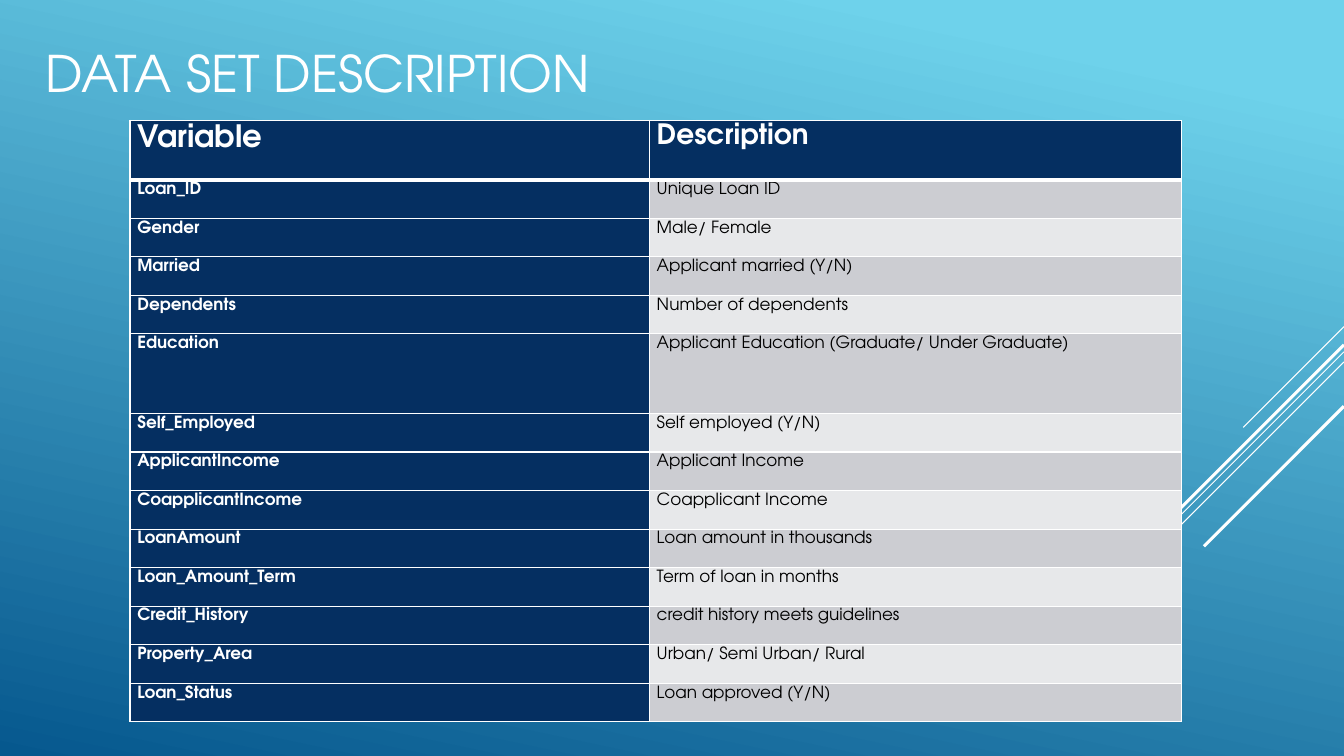
from lxml import etree
from pptx import Presentation
from pptx.dml.color import RGBColor
from pptx.enum import shapes, text
from pptx.oxml import ns
from pptx.util import Pt

FONT = "TeX Gyre Adventor"
COLORS = {
    "sky": "6ED2EB", "sea": "06588E", "navy": "052F61",
    "odd": "CCCDD2", "even": "E7E8EA", "white": "FFFFFF", "black": "000000",
}
HEAD = ("Variable", "Description")
ROWS = [
    ("Loan_ID", "Unique Loan ID"),
    ("Gender", "Male/ Female"),
    ("Married", "Applicant married (Y/N)"),
    ("Dependents", "Number of dependents"),
    ("Education", "Applicant Education (Graduate/ Under Graduate)"),
    ("Self_Employed", "Self employed (Y/N)"),
    ("ApplicantIncome", "Applicant Income"),
    ("CoapplicantIncome", "Coapplicant Income"),
    ("LoanAmount", "Loan amount in thousands"),
    ("Loan_Amount_Term", "Term of loan in months"),
    ("Credit_History", "credit history meets guidelines"),
    ("Property_Area", "Urban/ Semi Urban/ Rural"),
    ("Loan_Status", "Loan approved (Y/N)"),
]
HEAD_H, TALL_H, TALL_ROW = 42.4, 56.9, 5
# Start height, drop and width of each 45-degree stripe
STRIPES = [
    (0, 72, 0.75), (18, 234.7, 0.75), (25.2, 149.4, 0.75),
    (13, 137.5, 2.25), (56.9, 100, 2.25),
]


def color(name):
    return RGBColor.from_string(COLORS[name])


def style(para, size, ink, bold=False):
    for run in para.runs:
        font = run.font
        font.name, font.size, font.bold = FONT, Pt(size), bold
        font.color.rgb = color(ink)


def paint_back(slide):
    fill = slide.background.fill
    fill.gradient()
    fill.gradient_angle = 258
    for stop, (place, name) in zip(fill.gradient_stops, [(0.1, "sky"), (1, "sea")]):
        stop.position = place
        stop.color.rgb = color(name)


def add_stripes(slide, right, top):
    for start, drop, width in STRIPES:
        y = top + start
        line = slide.shapes.add_connector(
            shapes.MSO_CONNECTOR.STRAIGHT,
            Pt(right), Pt(y), Pt(right - drop), Pt(y + drop))
        line.line.color.rgb = color("white")
        line.line.width = Pt(width)
        etree.SubElement(line._element.spPr, ns.qn("a:effectLst"))


def set_title(slide, left, top, width, height):
    title = slide.shapes.title
    title.left, title.top = Pt(left), Pt(top)
    title.width, title.height = Pt(width), Pt(height)
    frame = title.text_frame
    frame.text = "DATA SET DESCRIPTION"
    frame.word_wrap = True
    frame.auto_size = text.MSO_AUTO_SIZE.NONE
    frame.vertical_anchor = text.MSO_ANCHOR.BOTTOM
    para = frame.paragraphs[0]
    para.alignment = text.PP_ALIGN.LEFT
    style(para, 36, "white")


def set_edges(cell, widths):
    """Draw white left, right, top and bottom borders ahead of the fill."""
    props = cell._tc.get_or_add_tcPr()
    for i, (side, width) in enumerate(zip("LRTB", widths)):
        edge = etree.Element(ns.qn("a:ln" + side), w=str(Pt(width)))
        solid = etree.SubElement(edge, ns.qn("a:solidFill"))
        etree.SubElement(solid, ns.qn("a:srgbClr"), val=COLORS["white"])
        props.insert(i, edge)


def fill_cell(cell, words, size, ink, bold, back, widths):
    cell.text_frame.text = words
    cell.margin_left = cell.margin_right = Pt(5.2)
    cell.margin_top = cell.margin_bottom = 0
    cell.vertical_anchor = text.MSO_ANCHOR.TOP
    para = cell.text_frame.paragraphs[0]
    para.line_spacing, para.space_after = 1.15, Pt(10)
    style(para, size, ink, bold)
    cell.fill.solid()
    cell.fill.fore_color.rgb = color(back)
    set_edges(cell, widths)


def add_grid(slide, left, top, width, height):
    count = len(ROWS) + 1
    grid = slide.shapes.add_table(
        count, 2, Pt(left), Pt(top), Pt(width), Pt(height)).table
    first = 371
    grid.columns[0].width, grid.columns[1].width = Pt(first), Pt(width - first)
    plain = (height - HEAD_H - TALL_H) / (count - 2)
    special = {0: HEAD_H, TALL_ROW: TALL_H}
    for r, row in enumerate(grid.rows):
        row.height = Pt(special.get(r, plain))
    for c, (words, size) in enumerate(zip(HEAD, (22, 20))):
        fill_cell(grid.cell(0, c), words, size, "white", True, "navy", (1, 1, 1, 3))
    for r, (name, note) in enumerate(ROWS, 1):
        widths = (1, 1, 3 if r == 1 else 1, 1)
        band = "odd" if r % 2 else "even"
        fill_cell(grid.cell(r, 0), name, 12, "white", True, "navy", widths)
        fill_cell(grid.cell(r, 1), note, 12, "black", False, band, widths)


def main():
    deck = Presentation()
    deck.slide_width, deck.slide_height = Pt(960), Pt(540)
    slide = deck.slides.add_slide(deck.slide_layouts[5])
    paint_back(slide)
    add_stripes(slide, 960, 233.3)
    set_title(slide, 25.2, 17.3, 671.8, 59.8)
    add_grid(slide, 92.9, 86, 751, 429.9)
    deck.save("out.pptx")


if __name__ == "__main__":
    main()
